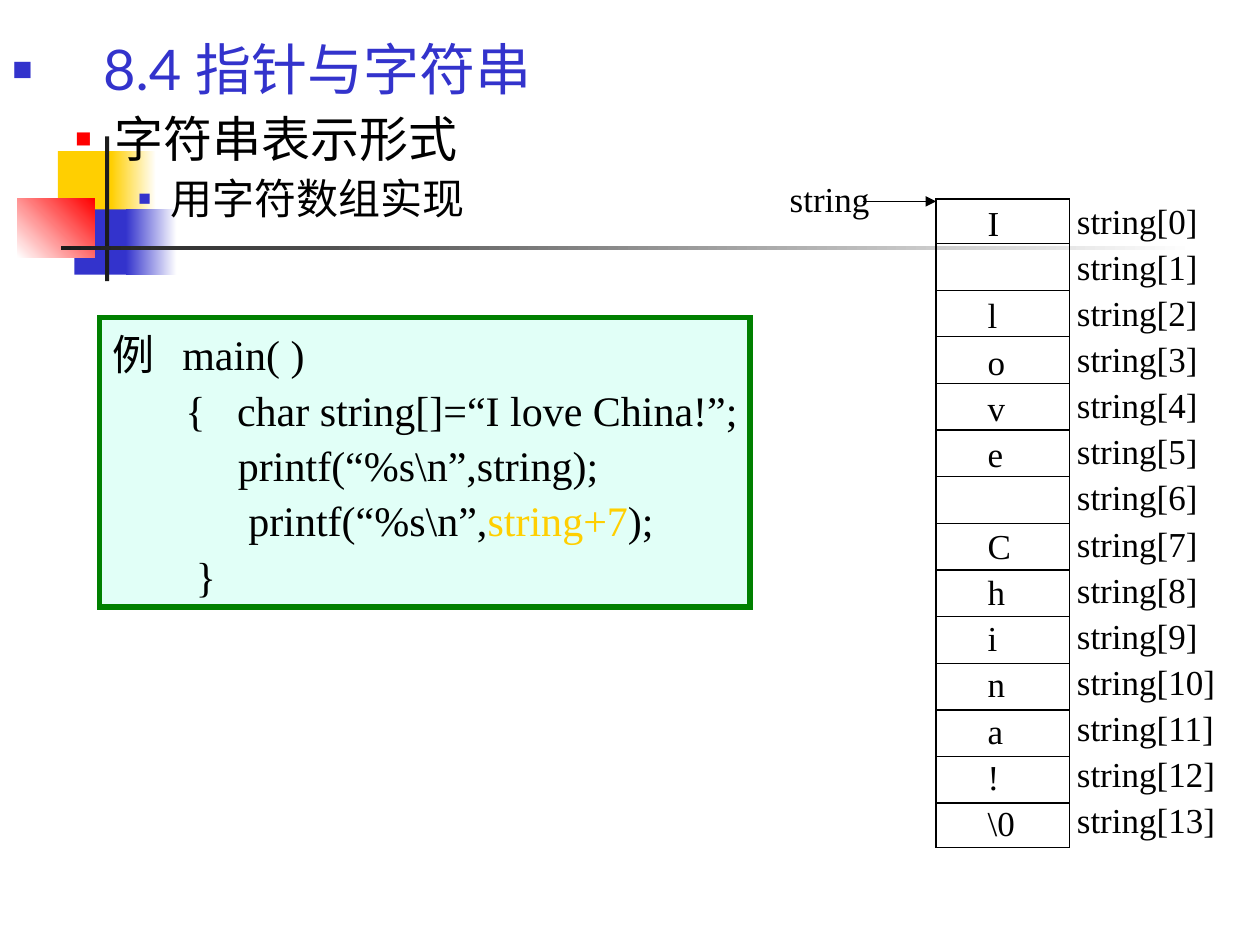
from lxml import etree
from pptx import Presentation
from pptx.dml.color import RGBColor
from pptx.enum.shapes import MSO_CONNECTOR, MSO_SHAPE
from pptx.enum.text import MSO_ANCHOR, PP_ALIGN
from pptx.oxml.ns import qn
from pptx.util import Cm, Pt

RECT = MSO_SHAPE.RECTANGLE
STRAIGHT = MSO_CONNECTOR.STRAIGHT
LEFT, TOP = PP_ALIGN.LEFT, MSO_ANCHOR.TOP

BLACK, WHITE, DARK = "000000", "FFFFFF", "1C1C1C"
BLUE, RED, YELLOW = "3333CC", "FF0000", "FFCF01"
MINT, GREEN = "E1FFF7", "008000"
SERIF, SANS = "Times New Roman", "Lato"

DECORATION = [
    (1.17, 3.05, 1.22, 1.32, [YELLOW], 0),
    (2.24, 3.05, 0.91, 1.32, [YELLOW, WHITE], 0),
    (1.5, 4.22, 1.17, 1.32, [BLUE], 0),
    (2.54, 4.22, 1.02, 1.32, [BLUE, WHITE], 0),
    (0.35, 4.01, 1.56, 1.18, [WHITE, RED], 45),
    (2.12, 2.75, 0.08, 2.92, [DARK], 0),
    (1.23, 4.95, 22.86, 0.09, [DARK, WHITE], 0),
]
HEADINGS = [
    dict(text="8.4 指针与字符串", size=32, color=BLUE, bullet=BLUE,
         percent=60, margin=1.83, hanging=1.83, before=0),
    dict(text="字符串表示形式", size=28, color=BLACK, bullet=RED,
         percent=55, margin=2.06, hanging=0.79, before=7),
    dict(text="用字符数组实现", size=24, color=BLACK, bullet=BLUE,
         percent=50, margin=3.18, hanging=0.64, before=6),
]
CODE = [
    [("例   main( )", BLACK)],
    [("       {   char string[]=“I love China!”;", BLACK)],
    [("            printf(“%s\\n”,string);", BLACK)],
    [("             printf(“%s\\n”,", BLACK), ("string+7", YELLOW), (");", BLACK)],
    [("        }", BLACK)],
]
CHARACTERS = ["I", "", "l", "o", "v", "e", "", "C", "h", "i", "n", "a", "!", "\\0"]
CHARACTER_WIDTHS = {"I": 0.74, "l": 0.69, "i": 0.69, "!": 0.74, "e": 0.81,
                    "a": 0.81, "C": 0.97, "\\0": 1.25}
LETTER_WIDTH = 0.86
ARRAY_LEFT, ARRAY_TOP, ARRAY_WIDTH, ARRAY_HEIGHT = 18.87, 4.01, 2.69, 13.08
FIRST_DIVIDER, DIVIDER_STEP = 4.91, 0.94
CHARACTER_LEFT, CHARACTER_TOP = 19.66, 3.94
INDEX_LEFT, INDEX_TOP = 21.46, 3.89
TEXT_STEP, TEXT_HEIGHT = 0.93, 1.12


def rgb(value):
    return RGBColor.from_string(value)


def add_box(slide, x, y, width, height, colors=(), angle=0, line=None, weight=0.75):
    box = slide.shapes.add_shape(RECT, Cm(x), Cm(y), Cm(width), Cm(height))
    box.shadow.inherit = False
    if len(colors) == 2:
        box.fill.gradient()
        box.fill.gradient_angle = angle
        for stop, color in zip(box.fill.gradient_stops, colors):
            stop.color.rgb = rgb(color)
    elif colors:
        box.fill.solid()
        box.fill.fore_color.rgb = rgb(colors[0])
    else:
        box.fill.background()
    if line:
        box.line.color.rgb = rgb(line)
        box.line.width = Pt(weight)
        etree.SubElement(box.line._get_or_add_ln(), qn("a:miter"), lim="800000")
    else:
        box.line.fill.background()
    return box


def add_line(slide, x1, y1, x2, y2, arrow=False):
    line = slide.shapes.add_connector(STRAIGHT, Cm(x1), Cm(y1), Cm(x2), Cm(y2))
    line.line.color.rgb = rgb(BLACK)
    line.line.width = Pt(0.75)
    if arrow:
        etree.SubElement(line.line._get_or_add_ln(), qn("a:tailEnd"), type="triangle")
    etree.SubElement(line._element.spPr, qn("a:effectLst"))


def write(paragraph, text, size=20, color=BLACK, font=SERIF, spacing=None, before=0):
    paragraph.alignment = LEFT
    paragraph.space_before = Pt(before)
    if spacing:
        paragraph.line_spacing = spacing
    run = paragraph.add_run()
    run.text = text
    run.font.size = Pt(size)
    run.font.name = font
    run.font.color.rgb = rgb(color)


def add_bullet(paragraph, color, percent, margin, hanging):
    properties = paragraph._p.get_or_add_pPr()
    properties.set("marL", str(Cm(margin)))
    properties.set("indent", str(-Cm(hanging)))
    tint = etree.SubElement(properties, qn("a:buClr"))
    etree.SubElement(tint, qn("a:srgbClr"), val=color)
    etree.SubElement(properties, qn("a:buSzPct"), val=str(percent * 1000))
    etree.SubElement(properties, qn("a:buFont"), typeface="Arial")
    etree.SubElement(properties, qn("a:buChar"), char="■")


def add_label(slide, text, x, y, width):
    label = slide.shapes.add_textbox(Cm(x), Cm(y), Cm(width), Cm(TEXT_HEIGHT))
    label.text_frame.word_wrap = False
    write(label.text_frame.paragraphs[0], text)


def paragraph_at(frame, position):
    return frame.add_paragraph() if position else frame.paragraphs[0]


def add_headings(slide):
    frame = slide.shapes.add_textbox(Cm(0), Cm(0.72), Cm(23.9), Cm(4.19)).text_frame
    frame.word_wrap = True
    for level, heading in enumerate(HEADINGS):
        paragraph = paragraph_at(frame, level)
        paragraph.level = level
        add_bullet(paragraph, heading["bullet"], heading["percent"],
                   heading["margin"], heading["hanging"])
        write(paragraph, heading["text"], size=heading["size"], color=heading["color"],
              font=SANS, spacing=0.9, before=heading["before"])


def add_code(slide):
    frame = add_box(slide, 2.01, 6.4, 13.11, 5.84, [MINT], line=GREEN, weight=3).text_frame
    frame.word_wrap = False
    frame.vertical_anchor = TOP
    for row, pieces in enumerate(CODE):
        paragraph = paragraph_at(frame, row)
        for text, color in pieces:
            write(paragraph, text, size=24, color=color, spacing=1.1)


def add_array(slide):
    add_line(slide, 17.4, 4.06, ARRAY_LEFT, 4.06, arrow=True)
    add_label(slide, "string", 15.67, 3.45, 2.11)
    add_box(slide, ARRAY_LEFT, ARRAY_TOP, ARRAY_WIDTH, ARRAY_HEIGHT, line=BLACK)
    for index, character in enumerate(CHARACTERS):
        if index:
            y = FIRST_DIVIDER + (index - 1) * DIVIDER_STEP
            add_line(slide, ARRAY_LEFT, y, ARRAY_LEFT + ARRAY_WIDTH, y)
        offset = index * TEXT_STEP
        if character:
            add_label(slide, character, CHARACTER_LEFT, CHARACTER_TOP + offset,
                      CHARACTER_WIDTHS.get(character, LETTER_WIDTH))
        add_label(slide, f"string[{index}]", INDEX_LEFT, INDEX_TOP + offset,
                  2.95 if index < 10 else 3.3)


def main():
    deck = Presentation()
    deck.slide_width, deck.slide_height = Cm(25.4), Cm(19.05)
    slide = deck.slides.add_slide(deck.slide_layouts[6])
    for x, y, width, height, colors, angle in DECORATION:
        add_box(slide, x, y, width, height, colors, angle)
    add_headings(slide)
    add_code(slide)
    add_array(slide)
    deck.save("out.pptx")


if __name__ == "__main__":
    main()
